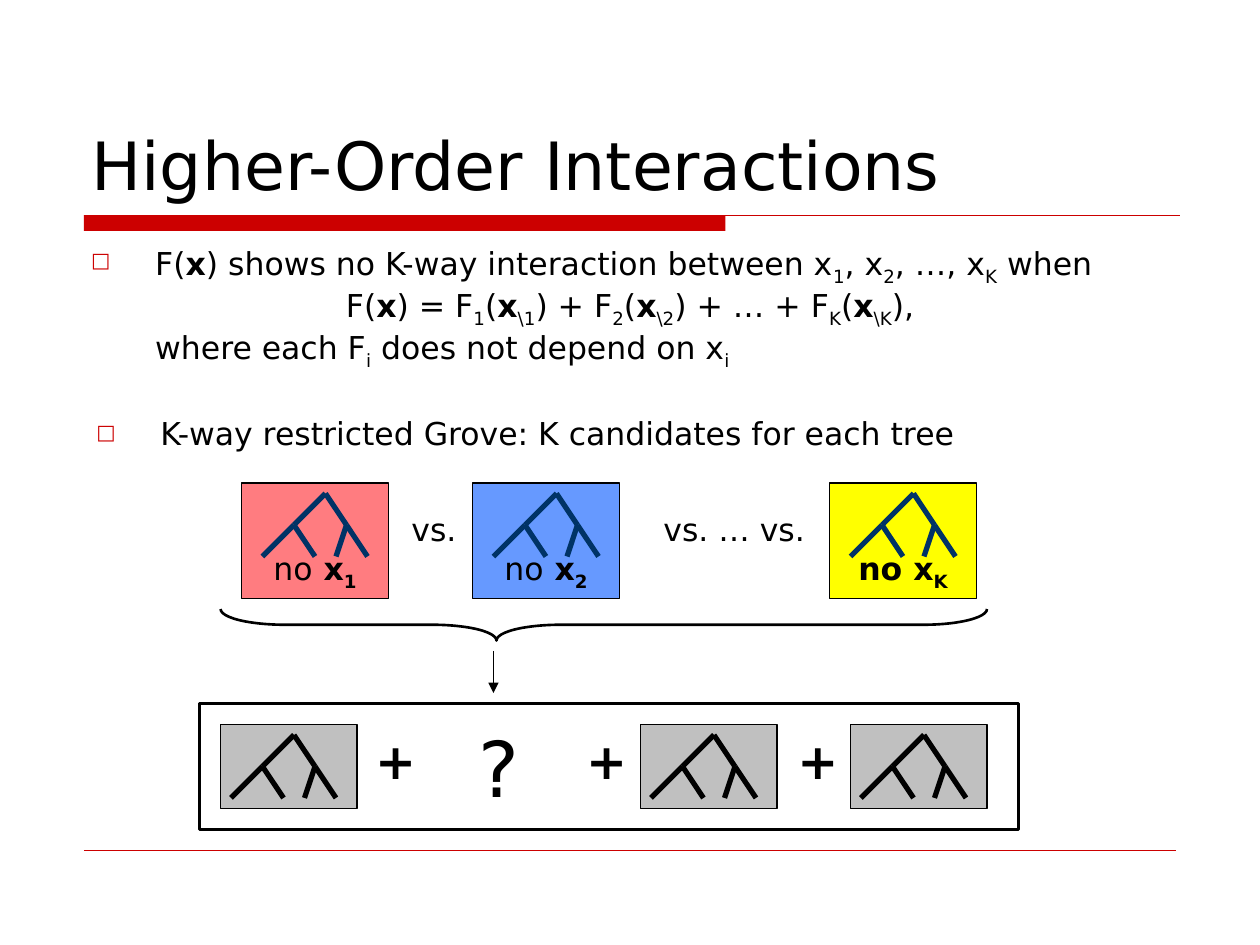
from dataclasses import dataclass

from lxml import etree
from pptx import Presentation
from pptx.dml.color import RGBColor
from pptx.enum.shapes import MSO_CONNECTOR, MSO_SHAPE
from pptx.enum.text import MSO_ANCHOR, MSO_AUTO_SIZE, PP_ALIGN
from pptx.oxml.ns import qn
from pptx.util import Pt

PX = 7620  # 120 px to the inch
TITLE_ONLY = 5
STRAIGHT = MSO_CONNECTOR.STRAIGHT
RECTANGLE, BRACE = MSO_SHAPE.RECTANGLE, MSO_SHAPE.RIGHT_BRACE
BOTTOM, NO_FIT = MSO_ANCHOR.BOTTOM, MSO_AUTO_SIZE.NONE
LEFT, CENTER = PP_ALIGN.LEFT, PP_ALIGN.CENTER


@dataclass(frozen=True)
class Theme:
    font: str = "DejaVu Sans"
    black: str = "000000"
    red: str = "CC0000"
    navy: str = "003366"
    pink: str = "FF7C80"
    blue: str = "6699FF"
    yellow: str = "FFFF00"
    grey: str = "C0C0C0"
    title: int = 38
    body: int = 18
    plus: int = 28
    question: int = 44


theme = Theme()


def write(para, spans, size):
    """Add (text, style) runs; style may hold b for bold and _ for subscript."""
    for text, style in spans:
        span = para.add_run()
        span.text = text
        span.font.name = theme.font
        span.font.size = Pt(size)
        span.font.bold = "b" in style
        span.font.color.rgb = RGBColor.from_string(theme.black)
        if "_" in style:
            span.font._element.set("baseline", "-25000")


def stroke(start, end, color, width):
    line = page.shapes.add_connector(STRAIGHT, *(v * PX for v in (*start, *end)))
    line.line.color.rgb = RGBColor.from_string(color)
    line.line.width = Pt(width)
    etree.SubElement(line._element.spPr, qn("a:effectLst"))
    return line


deck = Presentation()
deck.slide_width, deck.slide_height = 1200 * PX, 900 * PX
page = deck.slides.add_slide(deck.slide_layouts[TITLE_ONLY])

# Title and rules
title = page.shapes.title
title.left, title.top, title.width, title.height = (v * PX for v in (75, 40, 1050, 160))
title.text_frame.auto_size = NO_FIT
title.text_frame.vertical_anchor = BOTTOM
title.text_frame.paragraphs[0].alignment = LEFT
write(title.text_frame.paragraphs[0], [("Higher-Order Interactions", "")], theme.title)

bar = page.shapes.add_shape(RECTANGLE, 80 * PX, 205 * PX, 611 * PX, 15 * PX)
bar.shadow.inherit = False
bar.fill.solid()
bar.fill.fore_color.rgb = RGBColor.from_string(theme.red)
bar.line.fill.background()
stroke((80, 205), (1124, 205), theme.red, 0.75)
stroke((80, 810), (1120, 810), theme.red, 0.25)

# Statements: top, left, height, then (kind, runs) for each paragraph
definition = [
    ("bullet", [("F(", ""), ("x", "b"), (") shows no K-way interaction between x", ""),
                ("1", "_"), (", x", ""), ("2", "_"), (", …, x", ""), ("K", "_"),
                (" when", "")]),
    ("formula", [("F(", ""), ("x", "b"), (") = F", ""), ("1", "_"), ("(", ""),
                 ("x", "b"), ("\\1", "_"), (") + F", ""), ("2", "_"), ("(", ""),
                 ("x", "b"), ("\\2", "_"), (") + … + F", ""), ("K", "_"), ("(", ""),
                 ("x", "b"), ("\\K", "_"), ("),", "")]),
    ("plain", [("where each F", ""), ("i", "_"), (" does not depend on x", ""),
               ("i", "_")]),
]
restriction = [
    ("bullet", [("K-way restricted Grove: K candidates for each tree", "")]),
]
for left, top, height, statements in ((75, 230, 130, definition),
                                      (80, 395, 50, restriction)):
    box = page.shapes.add_textbox(left * PX, top * PX, 1050 * PX, height * PX)
    frame = box.text_frame
    frame.word_wrap = True
    for index, (kind, spans) in enumerate(statements):
        para = frame.add_paragraph() if index else frame.paragraphs[0]
        para.line_spacing = 0.8
        para.space_before = Pt(4.5 if index else 0)
        props = para._p.get_or_add_pPr()
        if kind == "formula":
            para.alignment = CENTER
        else:
            props.set("marL", str(61 * PX))
        if kind == "bullet":
            props.set("indent", str(-61 * PX))
            tint = etree.SubElement(props, qn("a:buClr"))
            etree.SubElement(tint, qn("a:srgbClr"), val=theme.red)
            etree.SubElement(props, qn("a:buSzPct"), val="65000")
            etree.SubElement(props, qn("a:buFont"), typeface=theme.font)
            etree.SubElement(props, qn("a:buChar"), char="□")
        write(para, spans, theme.body)

# Tree cards: place, fill, branch colour, caption
BRANCHES = [((0, 0), (-30, 30)), ((0, 0), (20, 30)),
            ((20, 30), (10, 60)), ((20, 30), (40, 60)),
            ((-30, 30), (-60, 60)), ((-30, 30), (-10, 60))]
candidate, member = (140, 110), (130, 80)
cards = [
    (230, 460, candidate, theme.pink, theme.navy, [("no", ""), (" x", "b"), ("1", "b_")]),
    (450, 460, candidate, theme.blue, theme.navy, [("no", ""), (" x", "b"), ("2", "b_")]),
    (790, 460, candidate, theme.yellow, theme.navy, [("no x", "b"), ("K", "b_")]),
    *((left, 690, member, theme.grey, theme.black, []) for left in (210, 610, 810)),
]
for left, top, (width, height), fill, branch_color, caption in cards:
    card = page.shapes.add_shape(RECTANGLE, left * PX, top * PX, width * PX, height * PX)
    card.shadow.inherit = False
    card.fill.solid()
    card.fill.fore_color.rgb = RGBColor.from_string(fill)
    card.line.color.rgb = RGBColor.from_string(theme.black)
    card.line.width = Pt(0.75)
    card.text_frame.word_wrap = False
    card.text_frame.vertical_anchor = BOTTOM
    card.text_frame.paragraphs[0].alignment = CENTER
    write(card.text_frame.paragraphs[0], caption, theme.body)
    apex_x, apex_y = left + width // 2 + (10 if caption else 5), top + 10
    for (x1, y1), (x2, y2) in BRANCHES:
        stroke((apex_x + x1, apex_y + y1), (apex_x + x2, apex_y + y2), branch_color, 3)

# Brace and arrow from the candidates to the open place in the sum
brace = page.shapes.add_shape(BRACE, 560 * PX, 230 * PX, 30 * PX, 730 * PX)
brace.rotation = 90
brace.adjustments[0], brace.adjustments[1] = 2.03, 0.64
sum_frame = page.shapes.add_shape(RECTANGLE, 190 * PX, 670 * PX, 780 * PX, 120 * PX)
for outline in (brace, sum_frame):
    outline.shadow.inherit = False
    outline.fill.background()
    outline.line.color.rgb = RGBColor.from_string(theme.black)
    outline.line.width = Pt(1.5)
arrow = stroke((470, 620), (470, 660), theme.black, 0.75)
etree.SubElement(arrow._element.spPr.find(qn("a:ln")), qn("a:tailEnd"), type="triangle")

# Labels between the cards: place, text, style, size, alignment, centred tab stops
labels = [
    ((380, 480, 80, 48), "vs.", "", theme.body, LEFT, []),
    ((620, 480, 160, 48), "vs. … vs.", "", theme.body, LEFT, []),
    ((200, 690, 760, 68), "\t+\t+\t+", "b", theme.plus, LEFT, [165, 366, 567]),
    ((430, 680, 90, 101), "?", "", theme.question, CENTER, []),
]
for place, text, style, size, alignment, stops in labels:
    box = page.shapes.add_textbox(*(v * PX for v in place))
    box.text_frame.word_wrap = True
    para = box.text_frame.paragraphs[0]
    para.alignment = alignment
    if stops:
        tabs = etree.SubElement(para._p.get_or_add_pPr(), qn("a:tabLst"))
        for stop in stops:
            etree.SubElement(tabs, qn("a:tab"), pos=str(stop * PX), algn="ctr")
    write(para, [(text, style)], size)

deck.save("out.pptx")
